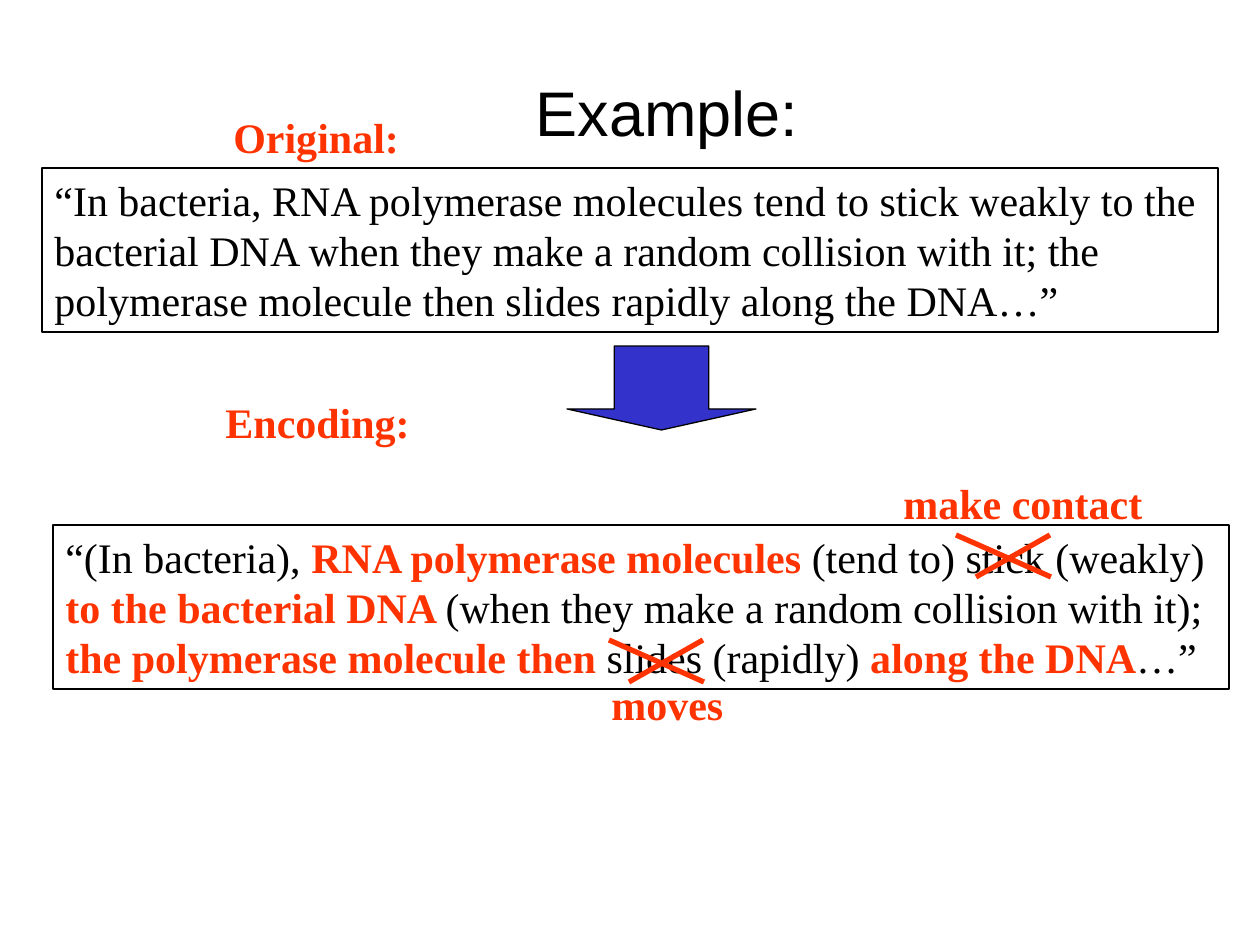
"""Build the slide that shows how a sentence is reduced when it is encoded."""
from pptx import Presentation, util as u
from pptx.dml.color import RGBColor
from pptx.enum import shapes, text
from pptx.oxml.ns import qn
from lxml import etree

PX = 914400 / 126
BLACK = RGBColor(0x00, 0x00, 0x00)
WHITE = RGBColor(0xFF, 0xFF, 0xFF)
RED = RGBColor(0xFF, 0x33, 0x00)
BLUE = RGBColor(0x33, 0x33, 0xCC)


def emu(*sizes):
    return [round(size * PX) for size in sizes]


def block(kind, box, fill):
    shape = slide.shapes.add_shape(kind, *emu(*box))
    shape.shadow.inherit = False
    shape.fill.solid()
    shape.fill.fore_color.rgb = fill
    shape.line.color.rgb = BLACK
    shape.line.width = u.Pt(0.75)
    return shape


deck = Presentation()
deck.slide_width, deck.slide_height = emu(1260, 945)
slide = deck.slides.add_slide(deck.slide_layouts[6])

title = slide.shapes.add_textbox(*emu(168, 32, 998, 158)).text_frame
title.word_wrap = True
title.vertical_anchor = text.MSO_ANCHOR.MIDDLE
head = title.paragraphs[0]
head.text = "Example:"
head.alignment = text.PP_ALIGN.CENTER
head.font.name = "Arial"
head.font.size = u.Pt(36)
head.font.color.rgb = BLACK

quotes = [
    (42, 168, [
        ("“In bacteria, RNA polymerase molecules tend to stick weakly to the "
         "bacterial DNA when they make a random collision with it; the "
         "polymerase molecule then slides rapidly along the DNA…”", False),
    ]),
    (53, 525, [
        ("“(In bacteria), ", False),
        ("RNA polymerase molecules", True),
        (" (tend to) stick (weakly) ", False),
        ("to the bacterial DNA ", True),
        ("(when they make a random collision with it);", False),
        (" the polymerase molecule then", True),
        (" slides (rapidly) ", False),
        ("along the DNA", True),
        ("…”", False),
    ]),
]
for left, top, parts in quotes:
    frame = block(shapes.MSO_SHAPE.RECTANGLE, (left, top, 1176, 164), WHITE).text_frame
    frame.word_wrap = True
    frame.vertical_anchor = text.MSO_ANCHOR.TOP
    para = frame.paragraphs[0]
    para.alignment = text.PP_ALIGN.LEFT
    para.font.name = "Times New Roman"
    para.font.size = u.Pt(24)
    for words, kept in parts:
        run = para.add_run()
        run.text = words
        run.font.name = "Times New Roman"
        run.font.size = u.Pt(24)
        run.font.bold = kept
        run.font.color.rgb = RED if kept else BLACK

arrow = block(shapes.MSO_SHAPE.DOWN_ARROW, (567, 346, 189, 84), BLUE)
arrow.adjustments[0] = 0.5
arrow.adjustments[1] = 0.25

labels = [
    ("Original:", 221, 105, 202),
    ("Encoding:", 213, 390, 220),
    ("make contact", 891, 471, 264),
    ("moves", 599, 672, 137),
]
for words, left, top, width in labels:
    frame = slide.shapes.add_textbox(*emu(left, top, width, 63)).text_frame
    frame.word_wrap = False
    para = frame.paragraphs[0]
    para.text = words
    para.font.name = "Times New Roman"
    para.font.size = u.Pt(24)
    para.font.bold = True
    para.font.color.rgb = RED

for left, top in [(956, 535), (609, 640)]:
    for start, end in [(0, 95), (94, 20)]:
        ends = emu(left + start, top, left + end, top + 42)
        stroke = slide.shapes.add_connector(shapes.MSO_CONNECTOR.STRAIGHT, *ends)
        stroke.line.color.rgb = RED
        stroke.line.width = u.Pt(3)
        etree.SubElement(stroke._element.spPr, qn("a:effectLst"))

deck.save("out.pptx")
